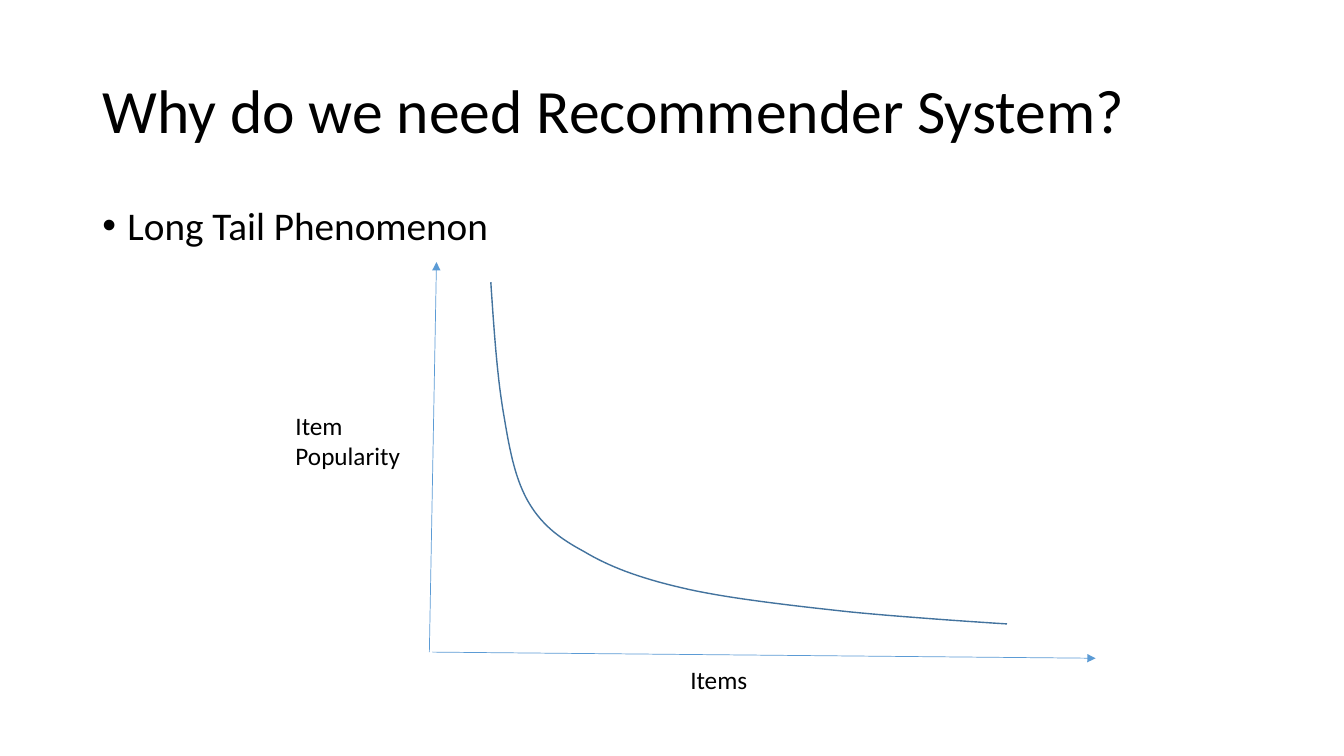
import pptx
import pptx.util
import pptx.dml.color
import pptx.enum.shapes
import pptx.enum.text
import pptx.oxml
import pptx.oxml.ns

Pt = pptx.util.Pt
FONT = "Calibri"
COLORS = {"text": "000000", "axis": "5B9BD5", "curve": "43739E"}

# Bezier chain in points from the graph's corner: a start, then two handles and an end per piece
CURVE = [
    (146.6, 14.6),
    (148.8, 47.7), (151, 80.1), (155.3, 106),
    (159.6, 132), (163.2, 152.8), (172.6, 170.1),
    (181.9, 186.7), (194.2, 196.8), (212.9, 206.8),
    (230.9, 217.6), (251.8, 225.6), (282.7, 232.8),
    (313, 240), (356.9, 245), (395.8, 249.3),
    (434.6, 253.6), (515.3, 258.7), (515.3, 258.7),
]
STEPS = 16


def color(name):
    return pptx.dml.color.RGBColor.from_string(COLORS[name])


def add_xml(parent, tag, **attrs):
    node = pptx.oxml.parse_xml(f"<a:{tag} {pptx.oxml.ns.nsdecls('a')}/>")
    for key, value in attrs.items():
        node.set(key, value)
    parent.append(node)


def write(frame, text, size):
    frame.word_wrap = True
    frame.text = text
    para = frame.paragraphs[0]
    para.alignment = pptx.enum.text.PP_ALIGN.LEFT
    font = para.runs[0].font
    font.name, font.size = FONT, Pt(size)
    font.color.rgb = color("text")
    return para


def add_text(slide, box, text, size):
    shape = slide.shapes.add_textbox(*map(Pt, box))
    return write(shape.text_frame, text, size)


def add_title(slide, box, text):
    title = slide.shapes.title
    title.left, title.top, title.width, title.height = map(Pt, box)
    frame = title.text_frame
    write(frame, text, 44).line_spacing = 0.9
    frame.auto_size = pptx.enum.text.MSO_AUTO_SIZE.NONE
    frame.vertical_anchor = pptx.enum.text.MSO_ANCHOR.MIDDLE


def add_bullet(slide, box, text):
    para = add_text(slide, box, text, 28)
    para.line_spacing = 0.9
    para.space_before = Pt(10)
    props = para._p.get_or_add_pPr()
    props.set("marL", str(Pt(18)))
    props.set("indent", str(-Pt(18)))
    add_xml(props, "buFont", typeface="Arial")
    add_xml(props, "buChar", char="•")


def add_axis(slide, start, end):
    kind = pptx.enum.shapes.MSO_CONNECTOR.STRAIGHT
    axis = slide.shapes.add_connector(kind, *map(Pt, start + end))
    axis.line.color.rgb = color("axis")
    axis.line.width = Pt(0.5)
    add_xml(axis.line._get_or_add_ln(), "tailEnd", type="triangle")
    add_xml(axis._element.spPr, "effectLst")


def trace(knots):
    """Return points along a chain of cubic Bezier pieces."""
    points = [knots[0]]
    for first in range(0, len(knots) - 1, 3):
        piece = knots[first:first + 4]
        for step in range(1, STEPS + 1):
            t = step / STEPS
            parts = ((1 - t) ** 3, 3 * t * (1 - t) ** 2, 3 * t * t * (1 - t), t ** 3)
            points.append(tuple(sum(w * p[i] for w, p in zip(parts, piece)) for i in (0, 1)))
    return points


def add_curve(slide, left, top):
    points = [(Pt(left + x), Pt(top + y)) for x, y in trace(CURVE)]
    pen = slide.shapes.build_freeform(*points[0])
    pen.add_line_segments(points[1:], close=False)
    curve = pen.convert_to_shape()
    curve.shadow.inherit = False
    curve.fill.background()
    curve.line.color.rgb = color("curve")
    curve.line.width = Pt(1)


def add_graph(slide, left, top):
    def at(x, y):
        return left + x, top + y

    add_axis(slide, at(102.7, 278.8), at(107.8, 0.2))
    add_axis(slide, at(104.9, 278.8), at(578.6, 283.2))
    add_curve(slide, left, top)
    add_text(slide, at(0, 102.4) + (105, 51), "Item Popularity", 18)
    add_text(slide, at(282, 283.9) + (105, 29), "Items", 18)


def main():
    deck = pptx.Presentation()
    deck.slide_width, deck.slide_height = Pt(960), Pt(540)
    slide = deck.slides.add_slide(deck.slide_layouts.get_by_name("Title Only"))
    add_title(slide, (66, 28.8, 828, 104.4), "Why do we need Recommender System?")
    add_bullet(slide, (66, 144, 828, 342.7), "Long Tail Phenomenon")
    add_graph(slide, 204, 187)
    deck.save("out.pptx")


if __name__ == "__main__":
    main()
